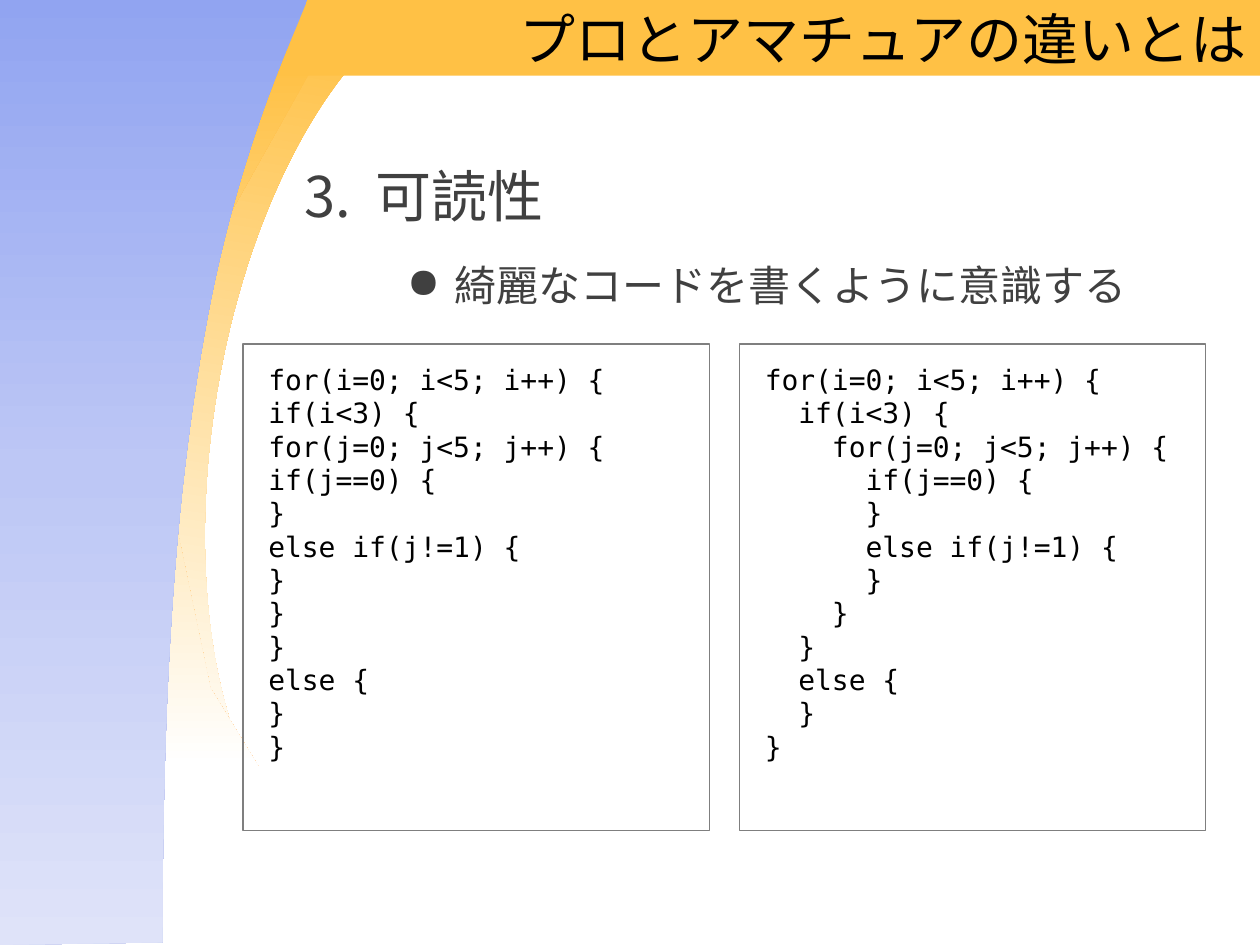
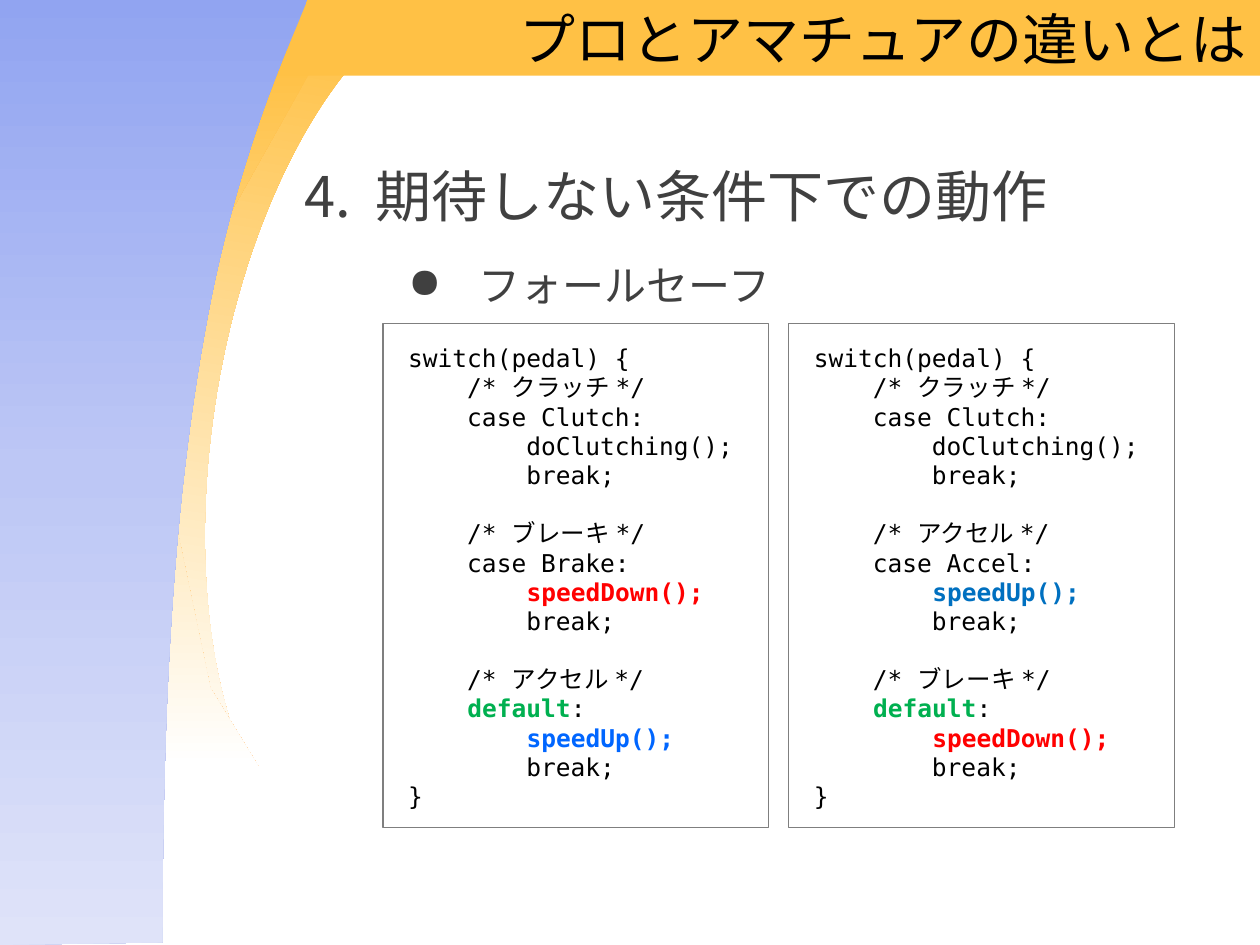
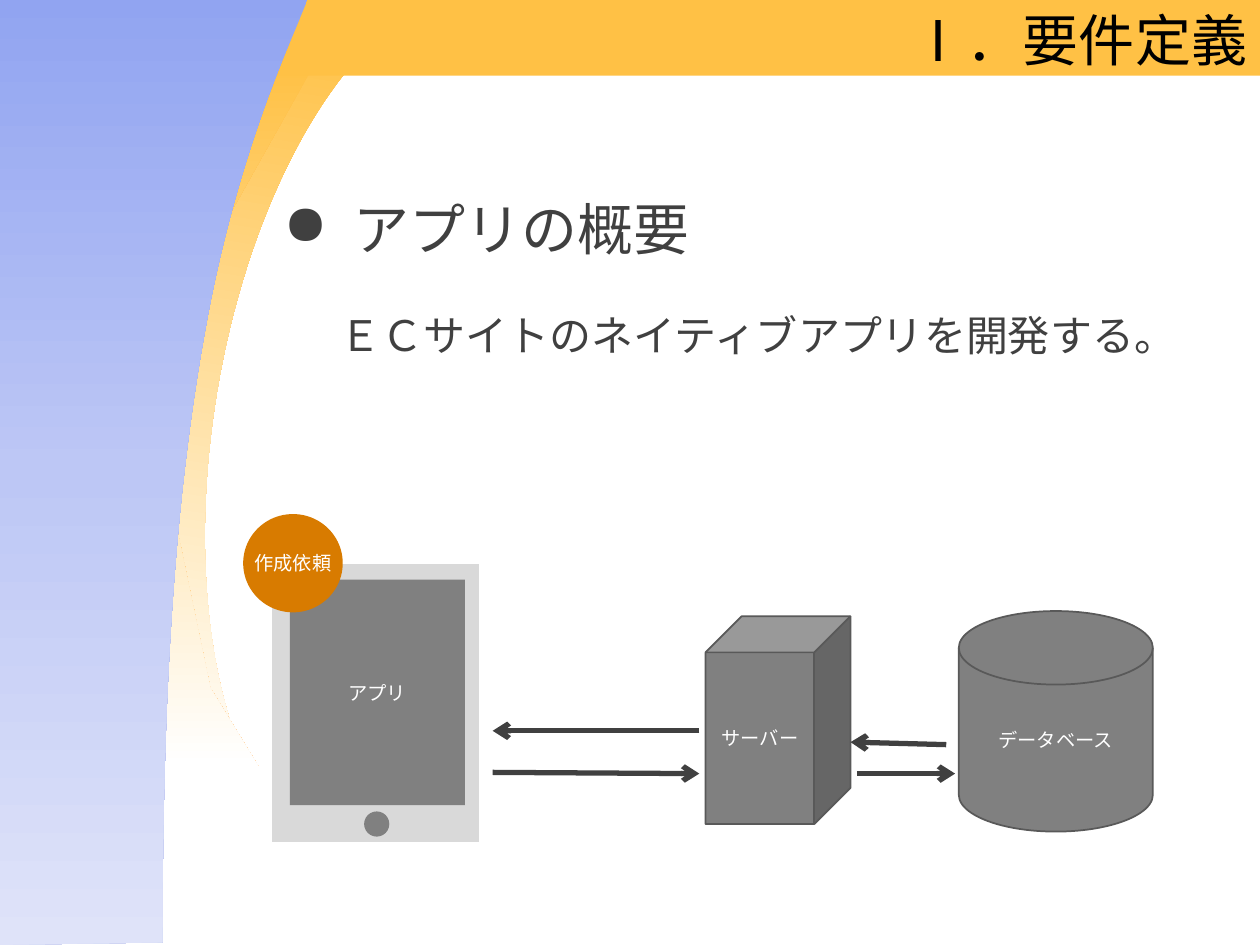
from lxml.etree import SubElement
from copy import deepcopy
from pptx import Presentation
from pptx.dml.color import RGBColor
from pptx.enum.shapes import MSO_CONNECTOR, MSO_SHAPE
from pptx.enum.text import MSO_ANCHOR, PP_ALIGN
from pptx.oxml.ns import qn
from pptx.util import Inches, Pt

ORANGE, GREY, DARK, BLACK, WHITE = "FFC145", "808080", "404040", "000000", "FFFFFF"
RED, GREEN = "FF0000", "00B050"
JAPANESE, MONO, LABEL = "Noto Sans CJK JP", "DejaVu Sans Mono", "TeX Gyre Adventor"


def paint(shape, fill=None, line=None, width=1):
    """Fill with a hex colour, a list of gradient colours, or nothing."""
    shape.shadow.inherit = False
    if isinstance(fill, list):
        shape.fill.gradient()
        shape.fill.gradient_angle = 270
        stops = shape.element.spPr.find(".//" + qn("a:gsLst"))
        for _ in fill[2:]:
            stops.insert(1, deepcopy(stops[0]))
        for index, stop in enumerate(shape.fill.gradient_stops):
            stop.position = index / (len(fill) - 1)
            stop.color.rgb = RGBColor.from_string(fill[index])
    elif fill:
        shape.fill.solid()
        shape.fill.fore_color.rgb = RGBColor.from_string(fill)
    else:
        shape.fill.background()
    if line:
        shape.line.color.rgb = RGBColor.from_string(line)
        shape.line.width = Pt(width)
    else:
        shape.line.fill.background()


def write(para, text, size, color, name=JAPANESE, bold=False):
    span = para.add_run()
    span.text = text
    for key, value in {"size": Pt(size), "name": name, "bold": bold}.items():
        setattr(span.font, key, value)
    span.font.color.rgb = RGBColor.from_string(color)
    if name == JAPANESE:
        SubElement(span.font._element, qn("a:ea"), typeface=name)


deck = Presentation()
deck.slide_width, deck.slide_height = Inches(10), Inches(7.5)
layout = deck.slide_layouts[5]

# Pages with their titles
pages = []
for title_text, left, height in [
    ("プロとアマチュアの違いとは", 2.32, 0.6),
    ("プロとアマチュアの違いとは", 2.32, 0.6),
    ("Ⅰ．要件定義", 2.48, 0.62),
]:
    page = deck.slides.add_slide(layout)
    title = page.shapes.title
    title.left, title.top = Inches(left), Inches(0)
    title.width, title.height = Inches(10 - left), Inches(height)
    title.text_frame.vertical_anchor = MSO_ANCHOR.MIDDLE
    para = title.text_frame.paragraphs[0]
    para.alignment = PP_ALIGN.RIGHT
    write(para, title_text, 32, BLACK)
    pages.append(page)
readability, fail_safe, overview = pages

# Shared bands: drawn once, then moved to the layout
shapes = readability.shapes
moon = shapes.add_shape(MSO_SHAPE.MOON, Inches(1.03), Inches(0.29), Inches(1.38), Inches(5.67))
moon.rotation = 9.3

glow_points = [(2.05, 6.08), (0, 6.08), (0, 0.5), (2.5, 0.5), (1.52, 2.24), (1.36, 3.98), (1.67, 5.46)]

curves = [
    [(2.44, 0), (2.31, 0.33), (1.94, 1.09), (1.68, 2.35)],
    [(1.68, 2.35), (1.43, 3.61), (1.29, 5.1), (1.29, 7.48)],
]
side_points = [(0, 7.5), (0, -0.03), (2.44, 0)]
for curve in curves:
    for step in range(1, 25):
        t = step / 24
        weights = [(1 - t) ** 3, 3 * t * (1 - t) ** 2, 3 * t * t * (1 - t), t ** 3]
        side_points.append(tuple(sum(w * point[axis] for w, point in zip(weights, curve)) for axis in (0, 1)))

outlines = []
for points in (glow_points, side_points):
    corners = [(Inches(x), Inches(y)) for x, y in points]
    builder = shapes.build_freeform(*corners[0], scale=1.0)
    builder.add_line_segments(corners[1:], close=True)
    outlines.append(builder.convert_to_shape())
glow, side = outlines
band = shapes.add_shape(MSO_SHAPE.RECTANGLE, Inches(0), Inches(-0.01), Inches(10), Inches(0.61))

for depth, (shape, fill) in enumerate([
    (moon, [ORANGE, WHITE]),
    (glow, [ORANGE, WHITE]),
    (band, ORANGE),
    (side, ["91A4F1", "BDC7F5", "DFE3F9"]),
]):
    paint(shape, fill)
    layout.shapes.element.insert(2 + depth, shape.element)

# Body text: text, size, left margin, hanging indent, space before, line spacing, bullet
number = "arabicPeriod"
for page, position, lines in [
    (readability, (2.32, 1.23, 7.4, 5.43), [
        ("可読性", 32, 0.56, 0.56, 12, None, (number, 3)),
        ("綺麗なコードを書くように意識する", 24, 1.19, 0.38, 18, None, "●")]),
    (fail_safe, (2.32, 1.23, 7.4, 5.43), [
        ("期待しない条件下での動作", 32, 0.56, 0.56, 12, None, (number, 4)),
        ("フォールセーフ", 24, 1.38, 0.56, 18, None, "●")]),
    (overview, (2.15, 1.23, 7.61, 3.46), [
        ("アプリの概要", 32, 0.56, 0.56, 0, 1.5, "●"),
        ("ＥＣサイトのネイティブアプリを開発する。", 24, 0, 0, 0, 1.5, None)]),
]:
    frame = page.shapes.add_textbox(*map(Inches, position)).text_frame
    frame.word_wrap = True
    for index, (text, size, margin, hanging, before, spacing, bullet) in enumerate(lines):
        para = frame.add_paragraph() if index else frame.paragraphs[0]
        for key, value in {"space_before": Pt(before), "line_spacing": spacing}.items():
            setattr(para, key, value)
        properties = para._p.get_or_add_pPr()
        properties.set("marL", str(Inches(margin)))
        properties.set("indent", str(-Inches(hanging)))
        if isinstance(bullet, tuple):
            SubElement(properties, qn("a:buAutoNum"), type=bullet[0], startAt=str(bullet[1]))
        elif bullet:
            SubElement(properties, qn("a:buChar"), char=bullet)
        else:
            write(para, "　", 32, DARK)
        write(para, text, size, DARK)

# Code listings
nested_code = """for(i=0; i<5; i++) {
  if(i<3) {
    for(j=0; j<5; j++) {
      if(j==0) {
      }
      else if(j!=1) {
      }
    }
  }
  else {
  }
}""".split("\n")
flat_code = [line.strip() for line in nested_code]

pedal_codes = []
for first, name, first_call, second, second_call in [
    ("ブレーキ", "Brake", "speedDown();", "アクセル", "speedUp();"),
    ("アクセル", "Accel", "speedUp();", "ブレーキ", "speedDown();"),
]:
    code = ["switch(pedal) {"]
    for comment, label, call in [
        ("クラッチ", "case Clutch:", "doClutching();"),
        (first, f"case {name}:", first_call),
        (second, "default:", second_call),
    ]:
        code += [f"    /* {comment} */", f"    {label}", f"        {call}", "        break;", ""]
    code[-1] = "}"
    pedal_codes.append(code)

marks = {"speedDown();": RED, "default": GREEN}
for page, position, size, code, colors in [
    (readability, (1.93, 2.73, 3.7, 3.86), 16, flat_code, {}),
    (readability, (5.87, 2.73, 3.7, 3.86), 16, nested_code, {}),
    (fail_safe, (3.04, 2.57, 3.06, 4), 14, pedal_codes[0], {**marks, "speedUp();": "0066FF"}),
    (fail_safe, (6.26, 2.57, 3.06, 4), 14, pedal_codes[1], {**marks, "speedUp();": "0070C0"}),
]:
    box = page.shapes.add_shape(MSO_SHAPE.RECTANGLE, *map(Inches, position))
    paint(box, None, "7F7F7F", 0.75)
    frame = box.text_frame
    frame.vertical_anchor = MSO_ANCHOR.TOP
    for edge in ("left", "top", "right", "bottom"):
        setattr(frame, f"margin_{edge}", Inches(0.2))
    for index, line in enumerate(code):
        para = frame.add_paragraph() if index else frame.paragraphs[0]
        for key, value in {"alignment": PP_ALIGN.LEFT, "line_spacing": 0.8, "space_before": Pt(size * 0.23)}.items():
            setattr(para, key, value)
        para.font.size, para.font.name = Pt(size), MONO
        if not line:
            # An empty line of code keeps the height of its font
            SubElement(para._p, qn("a:endParaRPr"), sz=str(size * 100))
        word = next((key for key in colors if key in line), "")
        before, mark, after = line.partition(word) if word else (line, "", "")
        for text, color in [(before, BLACK), (mark, colors.get(word)), (after, BLACK)]:
            if text:
                write(para, text, size, color, MONO, bold=text == mark)

# System diagram
for kind, position, fill, line, text, font in [
    (MSO_SHAPE.RECTANGLE, (2.15, 4.47, 1.66, 2.22), "D9D9D9", WHITE, "", None),
    (MSO_SHAPE.RECTANGLE, (2.3, 4.6, 1.39, 1.79), GREY, None, "アプリ", LABEL),
    (MSO_SHAPE.OVAL, (2.89, 6.44, 0.2, 0.2), GREY, None, "", None),
    (MSO_SHAPE.FLOWCHART_MAGNETIC_DISK, (7.61, 4.85, 1.54, 1.75), GREY, "595959", "データベース", LABEL),
    (MSO_SHAPE.CUBE, (5.6, 4.89, 1.15, 1.65), GREY, "595959", "サーバー", LABEL),
    (MSO_SHAPE.OVAL, (1.93, 4.08, 0.79, 0.78), "D87B00", None, "作成依頼", JAPANESE),
]:
    part = overview.shapes.add_shape(kind, *map(Inches, position))
    paint(part, fill, line)
    if text:
        frame = part.text_frame
        frame.vertical_anchor = MSO_ANCHOR.MIDDLE
        frame.paragraphs[0].alignment = PP_ALIGN.CENTER
        write(frame.paragraphs[0], text, 11, WHITE, font)
    if font == JAPANESE:
        frame.word_wrap = False
        for edge in ("left", "top", "right", "bottom"):
            setattr(frame, f"margin_{edge}", 0)

# Arrows between the parts
for ends in [
    (7.51, 5.91, 6.75, 5.89),
    (6.8, 6.14, 7.58, 6.14),
    (5.55, 5.8, 3.91, 5.8),
    (3.91, 6.13, 5.55, 6.14),
]:
    arrow = overview.shapes.add_connector(MSO_CONNECTOR.STRAIGHT, *map(Inches, ends))
    arrow.line.color.rgb = RGBColor.from_string(DARK)
    arrow.line.width = Pt(3)
    SubElement(arrow.line._get_or_add_ln(), qn("a:tailEnd"), type="arrow")
    SubElement(arrow.element.spPr, qn("a:effectLst"))

deck.save("out.pptx")
